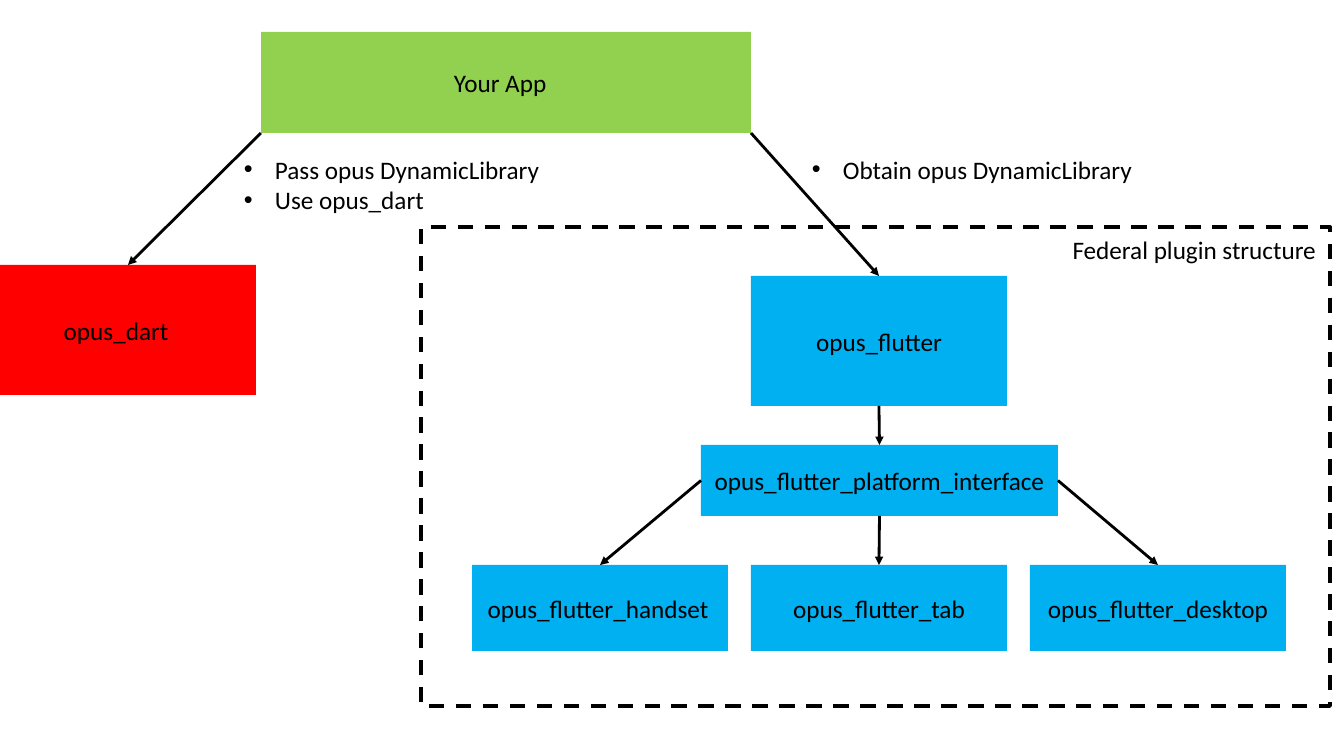
from lxml import etree
from pptx import Presentation
from pptx import util as u
from pptx.dml.color import RGBColor
from pptx.enum import dml, shapes, text
from pptx.oxml import ns

EMU_PER_PX = 914400 / 100.8
COLORS = {"app": "92D050", "dart": "FF0000", "plugin": "00B0F0", "ink": "000000"}
FONT_FORMAT = {"name": "Calibri", "size": u.Pt(18)}
FRAME_FORMAT = {"word_wrap": True, "auto_size": text.MSO_AUTO_SIZE.SHAPE_TO_FIT_TEXT}
TOP, LEFT, BOTTOM, RIGHT = range(4)
LABEL_HEIGHT = 40
BULLET_INDENT = 31


def px(*lengths):
    """Turn pixel lengths into EMU."""
    return [u.Emu(round(length * EMU_PER_PX)) for length in lengths]


def rgb(key):
    """Look up a palette colour."""
    return RGBColor.from_string(COLORS[key])


def apply_format(target, values):
    """Set every attribute named in a dict."""
    for attribute, value in values.items():
        setattr(target, attribute, value)


def add_box(slide, area, color):
    """Add a filled rectangle without outline."""
    box = slide.shapes.add_shape(shapes.MSO_SHAPE.RECTANGLE, *px(*area))
    box.shadow.inherit = False
    box.fill.solid()
    box.fill.fore_color.rgb = rgb(color)
    box.line.fill.background()
    return box


def add_dashed_frame(slide, area):
    """Add an unfilled rectangle with a dashed outline."""
    frame = slide.shapes.add_shape(shapes.MSO_SHAPE.RECTANGLE, *px(*area))
    frame.shadow.inherit = False
    frame.fill.background()
    frame.line.color.rgb = rgb("ink")
    apply_format(frame.line, {"width": u.Pt(2.75),
                              "dash_style": dml.MSO_LINE.DASH})


def add_bullet(paragraph):
    """Give a paragraph a round bullet and a hanging indent."""
    indent, = px(BULLET_INDENT)
    properties = paragraph._p.get_or_add_pPr()
    properties.set("marL", str(indent))
    properties.set("indent", str(-indent))
    etree.SubElement(properties, ns.qn("a:buFont")).set("typeface", "Arial")
    etree.SubElement(properties, ns.qn("a:buChar")).set("char", "•")


def add_text(slide, area, lines, align="CENTER", bulleted=False):
    """Add a text box with one paragraph per line."""
    frame = slide.shapes.add_textbox(*px(*area)).text_frame
    apply_format(frame, FRAME_FORMAT)
    for index, line in enumerate(lines):
        paragraph = frame.add_paragraph() if index else frame.paragraphs[0]
        paragraph.alignment = text.PP_ALIGN[align]
        run = paragraph.add_run()
        run.text = line
        apply_format(run.font, FONT_FORMAT)
        run.font.color.rgb = rgb("ink")
        if bulleted:
            add_bullet(paragraph)


def add_package(slide, name, area, color="plugin", shift=0):
    """Add a package box with its label centred, or shifted sideways."""
    left, top, width, height = area
    box = add_box(slide, area, color)
    label_top = top + (height - LABEL_HEIGHT) / 2
    add_text(slide, (left + shift, label_top, width, LABEL_HEIGHT), [name])
    return box


def add_arrow(slide, target, start=(0, 0), source=None, side=BOTTOM):
    """Draw an arrow from a point or a box side to the top of a box."""
    arrow = slide.shapes.add_connector(shapes.MSO_CONNECTOR.STRAIGHT,
                                       *px(*start, *start))
    if source is not None:
        arrow.begin_connect(source, side)
    arrow.end_connect(target, TOP)
    arrow.line.width = u.Pt(2)
    arrow.line.color.rgb = rgb("ink")
    etree.SubElement(arrow.line._get_or_add_ln(),
                     ns.qn("a:tailEnd")).set("type", "triangle")
    etree.SubElement(arrow._element.spPr, ns.qn("a:effectLst"))


def main():
    """Build the plugin structure slide."""
    deck = Presentation()
    deck.slide_width, deck.slide_height = px(1344, 756)
    slide = deck.slides.add_slide(deck.slide_layouts[6])

    add_dashed_frame(slide, (421, 227, 909, 479))
    add_text(slide, (1012, 229, 314, LABEL_HEIGHT),
             ["Federal plugin structure"], "RIGHT")

    app_left, app_top, app_width, app_height = app_area = (261, 32, 490, 101)
    app_right, app_bottom = app_left + app_width, app_top + app_height
    add_box(slide, app_area, "app")
    add_text(slide, (444, 62, 213, LABEL_HEIGHT), ["Your App"], "LEFT")

    dart = add_package(slide, "opus_dart", (0, 265, 256, 130), "dart", shift=-12)
    flutter = add_package(slide, "opus_flutter", (app_right, 276, 256, 130))
    interface = add_package(slide, "opus_flutter_platform_interface",
                            (701, 445, 357, 71))

    add_arrow(slide, dart, start=(app_left, app_bottom))
    add_arrow(slide, flutter, start=(app_right, app_bottom))
    add_arrow(slide, interface, source=flutter)

    platforms = [("handset", LEFT, -2), ("tab", BOTTOM, 0), ("desktop", RIGHT, 0)]
    for column, (platform, side, shift) in enumerate(platforms):
        package = add_package(slide, f"opus_flutter_{platform}",
                              (472 + 279 * column, 565, 256, 86), shift=shift)
        add_arrow(slide, package, source=interface, side=side)

    add_text(slide, (234, 149, 343, 71),
             ["Pass opus DynamicLibrary", "Use opus_dart"], "LEFT", bulleted=True)
    add_text(slide, (802, 149, 343, LABEL_HEIGHT),
             ["Obtain opus DynamicLibrary"], "LEFT", bulleted=True)

    deck.save("out.pptx")


main()
